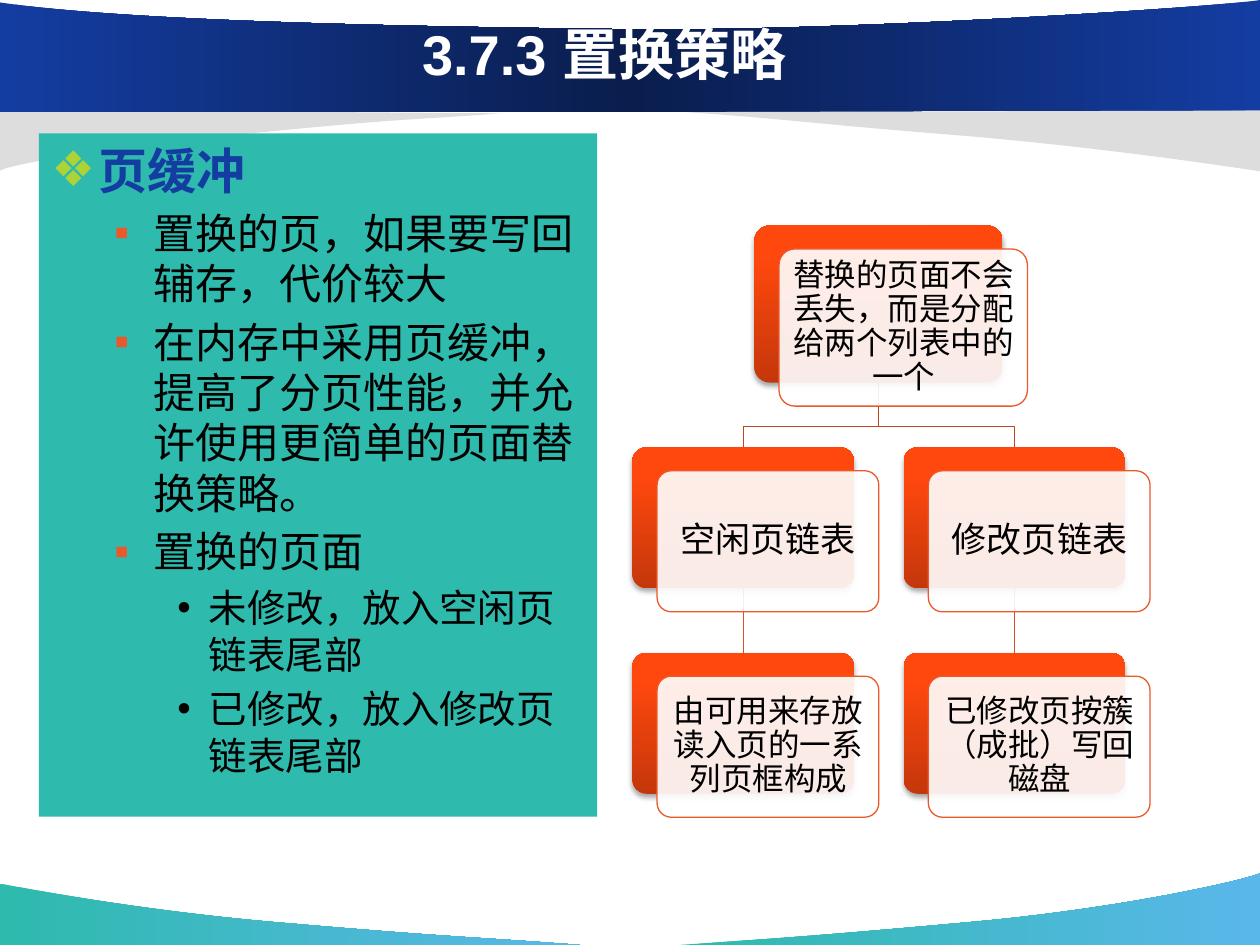
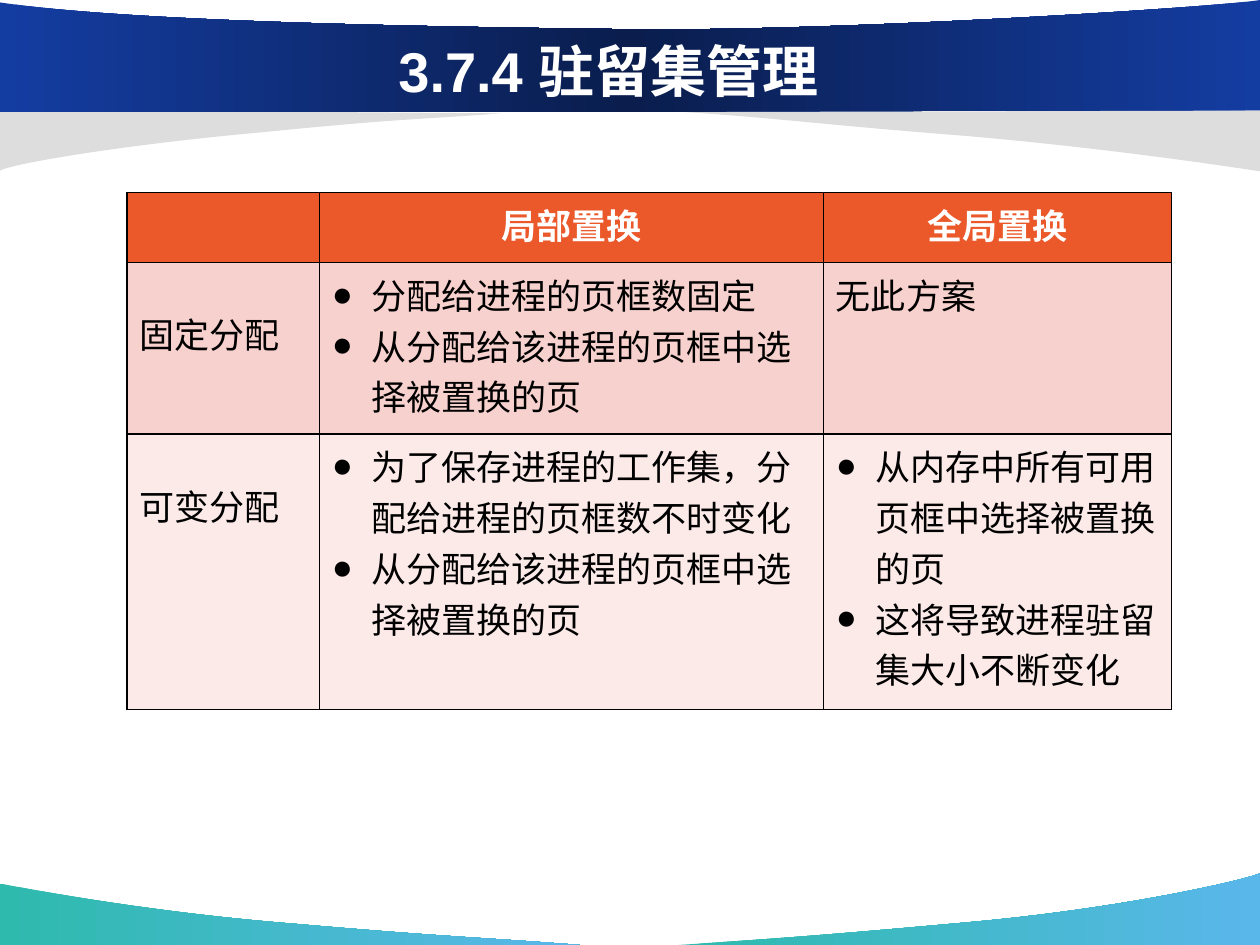
"""Build two slides on page replacement and resident set management."""
from lxml import etree
from pptx import Presentation
from pptx.dml.color import RGBColor
from pptx.enum.shapes import MSO_SHAPE
from pptx.enum.text import MSO_ANCHOR, PP_ALIGN
from pptx.oxml.ns import qn
from pptx.util import Pt

RECT, ROUND = MSO_SHAPE.RECTANGLE, MSO_SHAPE.ROUNDED_RECTANGLE
LEFT, CENTER = PP_ALIGN.LEFT, PP_ALIGN.CENTER
TOP, MIDDLE = MSO_ANCHOR.TOP, MSO_ANCHOR.MIDDLE

WHITE = RGBColor(0xFF, 0xFF, 0xFF)
BLACK = RGBColor(0, 0, 0)
BLUE = RGBColor(0x14, 0x3D, 0xA2)
NAVY = RGBColor(0x0A, 0x1D, 0x4D)
TEAL = RGBColor(0x2E, 0xBA, 0xAD)
SKY = RGBColor(0x5A, 0xB7, 0xEA)
GRAY = RGBColor(0xDD, 0xDD, 0xDD)
LIME = RGBColor(0xAE, 0xD3, 0x37)
ORANGE = RGBColor(0xEB, 0x59, 0x2B)
RUST = RGBColor(0xC5, 0x37, 0x0B)
FLAME = RGBColor(0xFF, 0x48, 0x0E)
BLAZE = RGBColor(0xFF, 0x49, 0x10)
BRICK = RGBColor(0xBC, 0x47, 0x22)
CLAY = RGBColor(0xD5, 0x51, 0x27)
ROSE = RGBColor(0xF7, 0xD1, 0xCD)
BLUSH = RGBColor(0xFB, 0xEA, 0xE8)

FONT = "Arial"
SEA = [(0, TEAL), (100, SKY)]
NIGHT = [(0, BLUE), (50, NAVY), (100, BLUE)]
FIRE = [(0, RUST), (80, FLAME), (100, BLAZE)]

WAVES = [
    (SEA, [(331.2, 540), (276.5, 535.7, 257.8, 535.7, 167, 527.8),
           (76.3, 520.6, 0.7, 504.9, 0, 504.9), (0, 540)]),
    (SEA, [(388.1, 540), (442.1, 536.4, 465.1, 535, 553.7, 527),
           (642.2, 519.1, 712.8, 502.6, 720, 499), (720, 540)]),
    (GRAY, [(286.6, 64.8), (238.3, 68.4, 229, 67.7, 149.8, 75.6),
            (69.8, 82.8, 6.5, 93.6, 0, 97.5), (0, 62.6)]),
    (NIGHT, [(720, 0), (694.1, 4.3, 470.2, 18.7, 350.6, 16.6),
             (231.1, 15.1, 72.7, 12.2, 0, 1.4), (0, 64.1), (720, 63.2)]),
    (GRAY, [(391.7, 64.1), (447.1, 67.7, 462.2, 70.6, 553, 77.8),
            (643.7, 85.7, 719.3, 97.9, 720, 97.9), (720, 63.2)]),
]

LEVELS = [
    dict(mark="❖", tint=LIME, left=27, hang=27, size=28, line=33.8, color=BLUE, bold=True),
    dict(mark="▪", tint=ORANGE, left=58.5, hang=22.5, size=24, line=28.75, gap=4.8),
    dict(mark="•", tint=BLACK, left=90, hang=18, size=22, line=26.8, gap=4.2),
]
NOTES = [
    (0, "页缓冲"),
    (1, "置换的页，如果要写回辅存，代价较大"),
    (1, "在内存中采用页缓冲，提高了分页性能，并允许使用更简单的页面替换策略。"),
    (1, "置换的页面"),
    (2, "未修改，放入空闲页链表尾部"),
    (2, "已修改，放入修改页链表尾部"),
]

ROOT = (431.1, 128.9, 141.9, 89.8)
CARD = (126.7, 80.6)
COLS, ROWS = (361.4, 516.4), (255.6, 373)
RIGHT, DOWN = 14.1, 13.4
ROOT_TEXT = "替换的页面不会丢失，而是分配给两个列表中的一个"
LISTS = [
    ("空闲页链表", "由可用来存放读入页的一系列页框构成"),
    ("修改页链表", "已修改页按簇（成批）写回磁盘"),
]

GRID = [
    ("", ["局部置换"], ["全局置换"]),
    ("固定分配",
     ["分配给进程的页框数固定", "从分配给该进程的页框中选择被置换的页"],
     ["无此方案"]),
    ("可变分配",
     ["为了保存进程的工作集，分配给进程的页框数不时变化",
      "从分配给该进程的页框中选择被置换的页"],
     ["从内存中所有可用页框中选择被置换的页", "这将导致进程驻留集大小不断变化"]),
]
PLAIN = {"无此方案"}


def points(*nums):
    """Turn numbers into point lengths."""
    return [Pt(n) for n in nums]


def paint(shape, fill, angle=0):
    """Fill a shape with a colour or with gradient stops."""
    if isinstance(fill, RGBColor):
        shape.fill.solid()
        shape.fill.fore_color.rgb = fill
        return
    shape.fill.gradient()
    shape.fill.gradient_angle = angle
    stops = next(shape._element.iter(qn("a:gsLst")))
    for old in list(stops):
        stops.remove(old)
    for pos, color in fill:
        stop = etree.SubElement(stops, qn("a:gs"), pos=str(pos * 1000))
        etree.SubElement(stop, qn("a:srgbClr"), val=str(color))


def trace(slide, dots, close):
    """Draw an outline through the given dots."""
    pen = slide.shapes.build_freeform(*points(*dots[0]))
    pen.add_line_segments([points(*dot) for dot in dots[1:]], close=close)
    shape = pen.convert_to_shape()
    shape.shadow.inherit = False
    return shape


def wave(slide, fill, steps):
    """Draw one area of the frame; a step of six numbers is a curve."""
    dots = [step[i:i + 2] for step in steps for i in range(0, len(step), 2)]
    shape = trace(slide, dots, True)
    lines = iter(list(shape._element.iter(qn("a:lnTo"))))
    for step in steps[1:]:
        first = next(lines)
        if len(step) == 6:
            first.tag = qn("a:cubicBezTo")
            for _ in range(2):
                extra = next(lines)
                first.append(extra[0])
                extra.getparent().remove(extra)
    paint(shape, fill)
    shape.line.fill.background()


def style(para, size, color=BLACK, bold=False, align=LEFT, line=None, gap=None):
    """Format a paragraph and its runs."""
    para.alignment = align
    if line:
        para.line_spacing = Pt(line)
    if gap:
        para.space_before = Pt(gap)
    for run in para.runs:
        font = run.font
        font.name, font.size, font.bold = FONT, Pt(size), bold
        font.color.rgb = color


def bullet(para, mark, tint, left, hang):
    """Give a paragraph a coloured bullet and a hanging indent."""
    props = para._p.get_or_add_pPr()
    props.set("marL", str(Pt(left)))
    props.set("indent", str(-Pt(hang)))
    color = etree.SubElement(props, qn("a:buClr"))
    etree.SubElement(color, qn("a:srgbClr"), val=str(tint))
    etree.SubElement(props, qn("a:buFont"), typeface=FONT)
    etree.SubElement(props, qn("a:buChar"), char=mark)


def fill_text(frame, lines):
    """Write lines into a frame and yield each paragraph."""
    for i, text in enumerate(lines):
        para = frame.add_paragraph() if i else frame.paragraphs[0]
        para.text = text
        yield para


def label(slide, text, box, **look):
    """Add a centred text box and return its frame."""
    frame = slide.shapes.add_textbox(*points(*box)).text_frame
    frame.word_wrap, frame.vertical_anchor = True, MIDDLE
    frame.text = text
    style(frame.paragraphs[0], align=CENTER, **look)
    return frame


def start(deck, text, box):
    """Add a slide with the shared frame and a title."""
    slide = deck.slides.add_slide(deck.slide_layouts[6])
    for fill, steps in WAVES:
        wave(slide, fill, steps)
    label(slide, text, box, size=32, color=WHITE, bold=True)
    return slide


def block(slide, kind, box, fill, angle=0):
    """Add a filled shape without line or shadow."""
    shape = slide.shapes.add_shape(kind, *points(*box))
    shape.shadow.inherit = False
    paint(shape, fill, angle)
    shape.line.fill.background()
    return shape


def panel(slide):
    """Add the teal panel with the bulleted notes."""
    frame = block(slide, RECT, (22.3, 76.3, 319, 390.4), TEAL).text_frame
    frame.word_wrap, frame.vertical_anchor = True, TOP
    paras = fill_text(frame, [text for _, text in NOTES])
    for para, (level, _) in zip(paras, NOTES):
        look = dict(LEVELS[level])
        bullet(para, *(look.pop(key) for key in ("mark", "tint", "left", "hang")))
        style(para, **look)


def shade(shape):
    """Give a shape a soft shadow below."""
    effects = shape._element.spPr.find(qn("a:effectLst"))
    outer = etree.SubElement(effects, qn("a:outerShdw"), blurRad=str(Pt(3.1)),
                             dist=str(Pt(1.8)), dir="5400000", rotWithShape="0")
    color = etree.SubElement(outer, qn("a:srgbClr"), val=str(BLACK))
    etree.SubElement(color, qn("a:alpha"), val="35000")


def card(slide, box, text, size):
    """Add a red card, a clear card in front and its text."""
    x, y, w, h = box
    back = block(slide, ROUND, box, FIRE, 90)
    x, y = x + RIGHT, y + DOWN
    front = block(slide, ROUND, (x, y, w, h), WHITE)
    back.adjustments[0] = front.adjustments[0] = 0.1
    shade(back)
    color = front._element.spPr.find(qn("a:solidFill"))[0]
    etree.SubElement(color, qn("a:alpha"), val="90000")
    front.line.color.rgb, front.line.width = ORANGE, Pt(0.75)
    frame = label(slide, text, (x + 2.6, y + 2, w - 4.8, h - 5.2),
                  size=size, line=size * 1.08)
    frame.margin_left = frame.margin_right = Pt(4.8)
    frame.margin_top = frame.margin_bottom = Pt(4.8)


def stem(slide, x, top, foot):
    """Draw an upright line in the middle of a narrow box."""
    shape = trace(slide, [(x, top), (x, foot)], False)
    half = Pt(3.6)
    shape.left, shape.width = shape.left - half, 2 * half
    next(shape._element.iter(qn("a:path"))).set("w", str(2 * half))
    for dot in shape._element.iter(qn("a:pt")):
        dot.set("x", str(half))
    return shape


def link(slide, x):
    """Join the root to a column and the two cards in it."""
    mid, foot = ROOT[0] + ROOT[2] / 2, ROOT[1] + ROOT[3]
    bend = ROWS[0] - 11.8
    post = stem(slide, x, ROWS[0] + CARD[1], ROWS[1])
    elbow = trace(slide, [(mid, foot), (mid, bend), (x, bend), (x, ROWS[0])], False)
    for shape, color in ((post, CLAY), (elbow, BRICK)):
        shape.fill.background()
        shape.line.color.rgb, shape.line.width = color, Pt(0.75)


def tree(slide):
    """Draw the tree of page lists."""
    for x in reversed(COLS):
        link(slide, x + CARD[0] / 2)
    card(slide, ROOT, ROOT_TEXT, 18)
    for x, texts in zip(COLS, LISTS):
        for y, text, size in zip(ROWS, texts, (20, 18)):
            card(slide, (x, y, *CARD), text, size)


def border(cell):
    """Draw black lines on all sides of a cell."""
    props = cell._tc.get_or_add_tcPr()
    for side in ("lnL", "lnR", "lnT", "lnB"):
        line = etree.SubElement(props, qn("a:" + side), w=str(Pt(1)))
        fill = etree.SubElement(line, qn("a:solidFill"))
        etree.SubElement(fill, qn("a:srgbClr"), val=str(BLACK))


def table(slide):
    """Add the table of allocation and replacement scopes."""
    box = points(72.7, 110, 596.8, 295.4)
    grid = slide.shapes.add_table(3, 3, *box).table
    for col, width in zip(grid.columns, (109.8, 288, 199)):
        col.width = Pt(width)
    for row, height in zip(grid.rows, (39.9, 98.1, 157.4)):
        row.height = Pt(height)
    for r, (name, *lists) in enumerate(GRID):
        for c, lines in enumerate([[name], *lists]):
            cell = grid.cell(r, c)
            border(cell)
            paint(cell, (ORANGE, ROSE, BLUSH)[r])
            if r and not c:
                cell.margin_top = Pt(26)
            for para in fill_text(cell.text_frame, lines):
                if r and c and para.text not in PLAIN:
                    bullet(para, "●", BLACK, 22.5, 22.5)
                if r:
                    style(para, 20, line=29)
                else:
                    style(para, 20, WHITE, True, CENTER, 29)


def main():
    """Build and save the deck."""
    deck = Presentation()
    deck.slide_width, deck.slide_height = points(720, 540)
    policy = start(deck, "3.7.3 置换策略", (37.2, 0, 616.3, 61.2))
    panel(policy)
    tree(policy)
    resident = start(deck, "3.7.4 驻留集管理", (66, 18, 563.8, 44.6))
    table(resident)
    deck.save("out.pptx")


if __name__ == "__main__":
    main()
